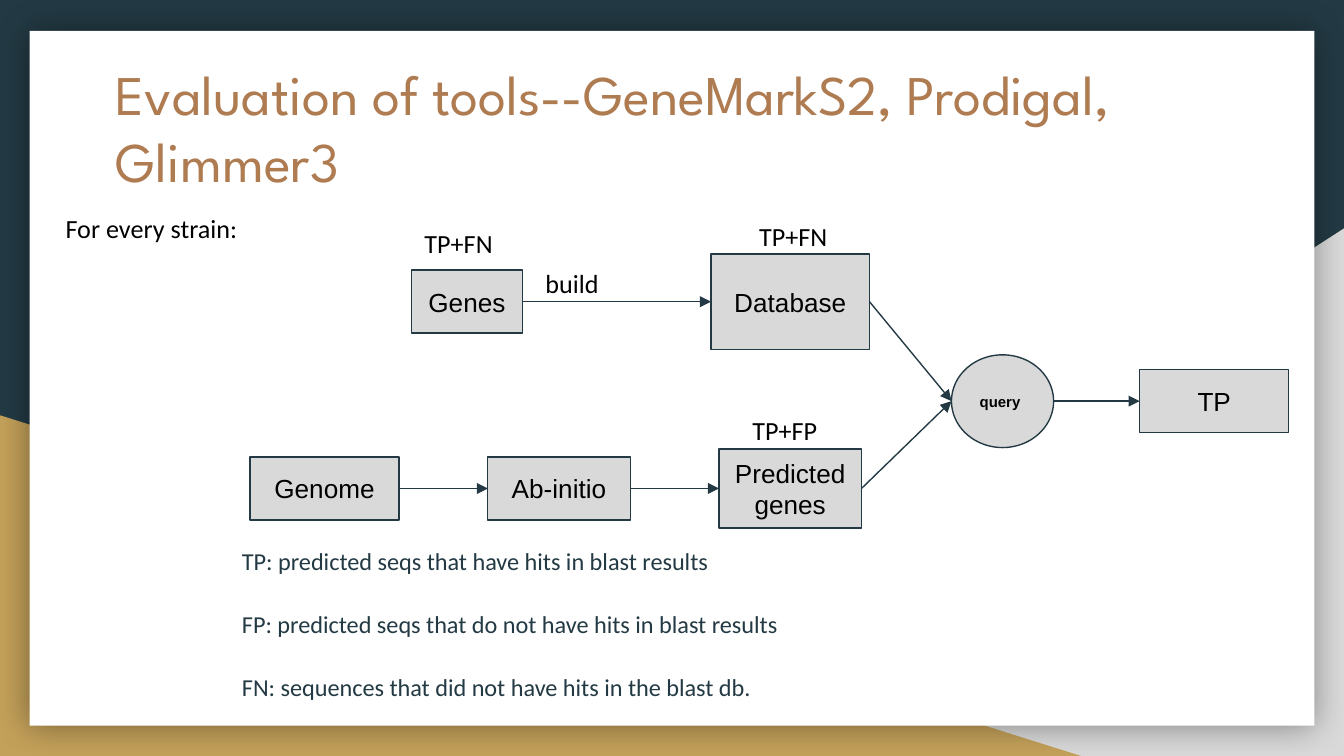
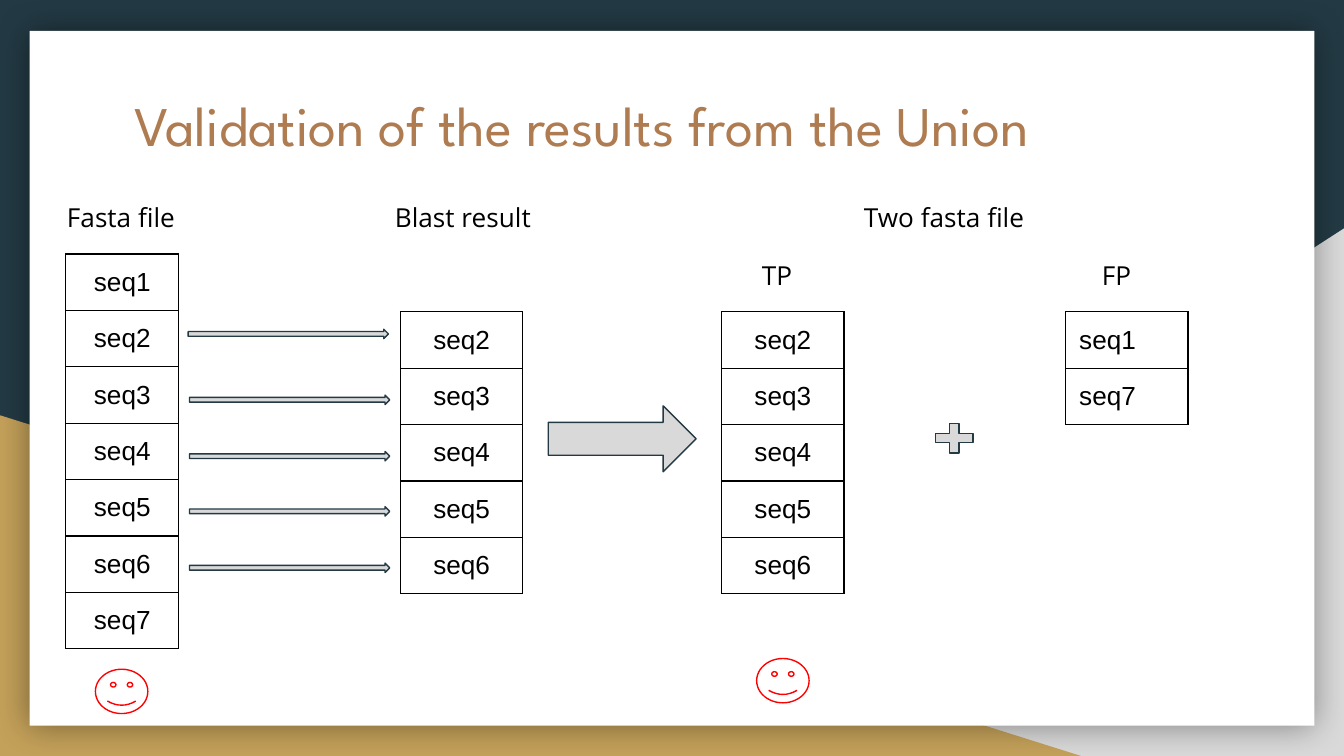
import lxml.etree
import pptx
import pptx.dml.color
import pptx.enum.shapes
import pptx.enum.text
import pptx.oxml.ns
import pptx.util

PX = 9144
NAVY = pptx.dml.color.RGBColor(0x23, 0x3A, 0x44)
GREY = pptx.dml.color.RGBColor(0xD9, 0xD9, 0xD9)
GOLD = pptx.dml.color.RGBColor(0xC4, 0xA1, 0x5A)
BROWN = pptx.dml.color.RGBColor(0xAF, 0x7B, 0x51)
WHITE = pptx.dml.color.RGBColor(0xFF, 0xFF, 0xFF)
BLACK = pptx.dml.color.RGBColor(0x00, 0x00, 0x00)
RED = pptx.dml.color.RGBColor(0xFF, 0x00, 0x00)
PRESET = pptx.enum.shapes.MSO_SHAPE
ALIGN = pptx.enum.text.PP_ALIGN
ANCHOR = pptx.enum.text.MSO_ANCHOR
qn = pptx.oxml.ns.qn


def add_preset(page, preset, bounds, fill=GREY, line=NAVY):
    shape = page.shapes.add_shape(preset, *[length * PX for length in bounds])
    shape.shadow.inherit = False
    if fill is None:
        shape.fill.background()
    else:
        shape.fill.solid()
        shape.fill.fore_color.rgb = fill
    if line is None:
        shape.line.fill.background()
    else:
        shape.line.color.rgb = line
        shape.line.width = pptx.util.Pt(0.75)
    return shape


def write(frame, texts, font, size, color, align=ALIGN.LEFT, anchor=ANCHOR.TOP):
    frame.word_wrap = True
    frame.auto_size = pptx.enum.text.MSO_AUTO_SIZE.NONE
    frame.vertical_anchor = anchor
    frame.margin_left = frame.margin_right = 10 * PX
    frame.margin_top = frame.margin_bottom = 10 * PX
    for index, text in enumerate(texts):
        para = frame.add_paragraph() if index else frame.paragraphs[0]
        para.alignment = align
        para.space_before = pptx.util.Pt(0)
        span = para.add_run()
        span.text = text
        span.font.name = font
        span.font.size = pptx.util.Pt(size)
        span.font.color.rgb = color


deck = pptx.Presentation()
deck.slide_width = 1000 * PX
deck.slide_height = pptx.util.Inches(5.625)
evaluation = deck.slides.add_slide(deck.slide_layouts[1])
validation = deck.slides.add_slide(deck.slide_layouts[5])

master = deck.slide_master
master.background.fill.solid()
master.background.fill.fore_color.rgb = NAVY
grey_band = add_preset(evaluation, PRESET.RIGHT_TRIANGLE, (392, 170, 608, 393), GREY, None)
grey_band.element.spPr.xfrm.set("flipH", "1")
gold_band = add_preset(evaluation, PRESET.RIGHT_TRIANGLE, (0, 309, 806, 254), GOLD, None)
card = add_preset(evaluation, PRESET.RECTANGLE, (22, 23, 956, 517), WHITE, None)
effects = card.element.spPr.find(qn("a:effectLst"))
shadow = lxml.etree.SubElement(
    effects, qn("a:outerShdw"), blurRad=str(pptx.util.Pt(18)), dist="0", dir="0", algn="ctr", rotWithShape="0"
)
shadow_color = lxml.etree.SubElement(shadow, qn("a:srgbClr"), val="000000")
lxml.etree.SubElement(shadow_color, qn("a:alpha"), val="40000")
for position, band in enumerate((grey_band, gold_band, card), start=2):
    master.shapes.element.insert(position, band.element)

titles = (
    (evaluation, "Evaluation of tools--GeneMarkS2, Prodigal, Glimmer3", 76, 34),
    (validation, "Validation of the results from the Union", 90, 57),
)
for page, text, left, top in titles:
    title = page.shapes.title
    title.left, title.top, title.width, title.height = left * PX, top * PX, 821 * PX, 104 * PX
    write(title.text_frame, [text], "League Spartan", 30, BROWN)

definitions = evaluation.placeholders[1]
definitions.left, definitions.top = 170 * PX, 393 * PX
definitions.width, definitions.height = 550 * PX, 133 * PX
lines = (
    "TP: predicted seqs that have hits in blast results",
    "FP: predicted seqs that do not have hits in blast results",
    "FN: sequences that did not have hits in the blast db.",
)
write(definitions.text_frame, lines, "Calibri", 13, NAVY)
for index, para in enumerate(definitions.text_frame.paragraphs):
    para.line_spacing = 1.15
    para.space_before = pptx.util.Pt(16 if index else 0)
    properties = para._p.get_or_add_pPr()
    properties.set("marL", "0")
    properties.set("indent", "0")
    lxml.etree.SubElement(properties, qn("a:buNone"))

steps = {}
for text, bounds in (
    ("Genes", (306, 201, 83, 47)),
    ("Database", (529, 189, 118, 71)),
    ("Genome", (186, 340, 111, 47)),
    ("Ab-initio", (363, 340, 106, 47)),
    ("Predicted genes", (535, 334, 106, 59)),
    ("TP", (848, 275, 111, 47)),
):
    steps[text] = add_preset(evaluation, PRESET.RECTANGLE, bounds)
    write(steps[text].text_frame, [text], "Arial", 14, BLACK, ALIGN.CENTER, ANCHOR.MIDDLE)
query = steps["query"] = add_preset(evaluation, PRESET.OVAL, (708, 264, 76, 69))
write(query.text_frame, ["query"], "Arial", 8, BLACK, anchor=ANCHOR.MIDDLE)
query.text_frame.paragraphs[0].runs[0].font.bold = True

for source, target in (
    ("Genes", "Database"),
    ("Genome", "Ab-initio"),
    ("Ab-initio", "Predicted genes"),
    ("Database", "query"),
    ("Predicted genes", "query"),
    ("query", "TP"),
):
    start, end = steps[source], steps[target]
    arrow = evaluation.shapes.add_connector(
        pptx.enum.shapes.MSO_CONNECTOR.STRAIGHT,
        start.left + start.width,
        start.top + start.height // 2,
        end.left,
        end.top + end.height // 2,
    )
    arrow.line.color.rgb = NAVY
    arrow.line.width = pptx.util.Pt(0.75)
    lxml.etree.SubElement(arrow.line._get_or_add_ln(), qn("a:tailEnd"), type="triangle")
    lxml.etree.SubElement(arrow.element.spPr, qn("a:effectLst"))

for page, font, text, bounds in (
    (evaluation, "Calibri", "For every strain:", (39, 148, 156, 24)),
    (evaluation, "Calibri", "build", (396, 189, 96, 24)),
    (evaluation, "Calibri", "TP+FN", (306, 160, 118, 18)),
    (evaluation, "Calibri", "TP+FN", (555, 155, 118, 18)),
    (evaluation, "Calibri", "TP+FP", (550, 299, 118, 18)),
    (validation, "Open Sans", "Fasta file", (40, 140, 134, 49)),
    (validation, "Open Sans", "Blast result", (284, 140, 134, 49)),
    (validation, "Open Sans", "Two fasta file", (633, 140, 164, 49)),
    (validation, "Open Sans", "TP", (557, 183, 134, 49)),
    (validation, "Open Sans", "FP", (810, 183, 134, 49)),
):
    box = page.shapes.add_textbox(*[length * PX for length in bounds])
    write(box.text_frame, [text], font, 14, BLACK)

row_height = 42
for left, top, width, numbers, align in (
    (49, 189, 84, range(1, 8), ALIGN.CENTER),
    (298, 232, 91, range(2, 7), ALIGN.CENTER),
    (537, 232, 91, range(2, 7), ALIGN.CENTER),
    (793, 232, 91, (1, 7), ALIGN.LEFT),
):
    frame = validation.shapes.add_table(
        len(numbers), 1, left * PX, top * PX, width * PX, row_height * len(numbers) * PX
    )
    table = frame.table
    table.first_row = table.horz_banding = False
    for row, number in enumerate(numbers):
        table.rows[row].height = row_height * PX
        cell = table.cell(row, 0)
        cell.fill.background()
        cell.margin_left = cell.margin_right = cell.margin_top = cell.margin_bottom = 10 * PX
        para = cell.text_frame.paragraphs[0]
        para.alignment = align
        span = para.add_run()
        span.text = f"seq{number}"
        span.font.name = "Arial"
        span.font.size = pptx.util.Pt(14)
        span.font.color.rgb = BLACK
        properties = cell._tc.get_or_add_tcPr()
        for position, side in enumerate(("a:lnL", "a:lnR", "a:lnT", "a:lnB")):
            border = lxml.etree.Element(qn(side), w=str(pptx.util.Pt(0.75)))
            border_fill = lxml.etree.SubElement(border, qn("a:solidFill"))
            lxml.etree.SubElement(border_fill, qn("a:srgbClr"), val=str(BLACK))
            properties.insert(position, border)

for left, top in ((140, 245), (141, 294), (141, 336), (141, 377), (141, 419)):
    add_preset(validation, PRESET.RIGHT_ARROW, (left, top, 149, 7))
add_preset(validation, PRESET.RIGHT_ARROW, (408, 302, 110, 49))
add_preset(validation, PRESET.MATH_PLUS, (691, 311, 38, 30))
for left, top in ((71, 498), (563, 490)):
    add_preset(validation, PRESET.SMILEY_FACE, (left, top, 39, 33), None, RED)

deck.save("out.pptx")
